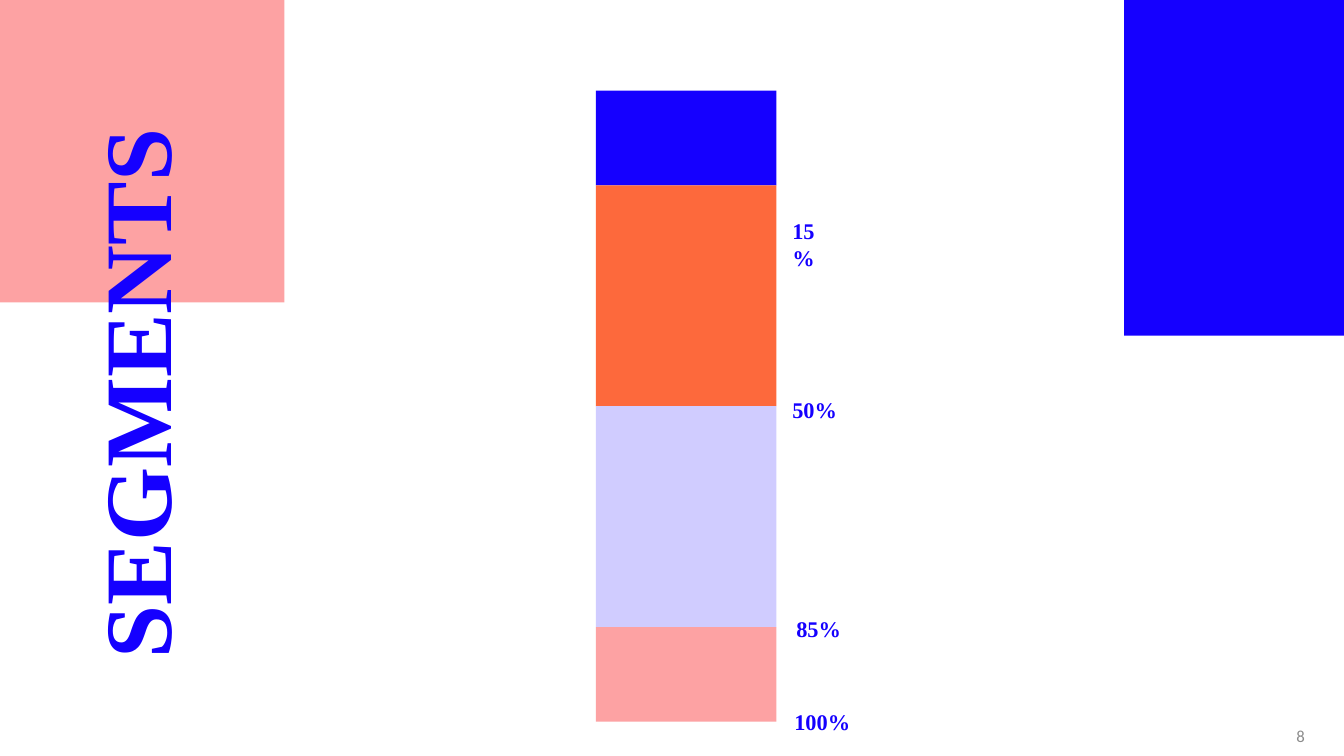
from dataclasses import dataclass

from pptx import Presentation
from pptx import util as u
from pptx.dml.color import RGBColor
from pptx.enum import shapes, text


@dataclass(frozen=True)
class Theme:
    blue: str = "1500FF"
    pink: str = "FDA2A3"
    orange: str = "FD693C"
    lavender: str = "D0CCFF"
    grey: str = "8C8C8C"
    serif: str = "Times New Roman"
    sans: str = "Calibri"
    title_size: int = 68
    label_size: int = 16
    number_size: int = 12


THEME = Theme()

BAR_LEFT, BAR_TOP, BAR_WIDTH, BAR_HEIGHT = 5.91, 0.9, 1.79, 6.26
SEGMENTS = [(15, THEME.blue), (35, THEME.orange),
            (35, THEME.lavender), (15, THEME.pink)]
LABELS = [("15%", 7.76, 2.11, 0.59), ("50%", 7.76, 3.88, 0.66),
          ("85%", 7.8, 6.05, 0.64), ("100%", 7.78, 6.98, 0.8)]


def inches(*values):
    return [u.Inches(value) for value in values]


def add_block(page, left, top, width, height, color):
    block = page.shapes.add_shape(shapes.MSO_SHAPE.RECTANGLE,
                                  *inches(left, top, width, height))
    block.shadow.inherit = False
    block.fill.solid()
    block.fill.fore_color.rgb = RGBColor.from_string(color)
    block.line.fill.background()


def write(box, words, size, name, color, bold=False,
          align=text.PP_ALIGN.LEFT, anchor=text.MSO_ANCHOR.TOP):
    """Put one formatted line of words into a text box or placeholder."""
    frame = box.text_frame
    frame_format = {"word_wrap": True, "auto_size": text.MSO_AUTO_SIZE.NONE,
                    "vertical_anchor": anchor}
    for key, value in frame_format.items():
        setattr(frame, key, value)
    para = frame.paragraphs[0]
    para.alignment = align
    span = para.add_run()
    span.text = words
    for key, value in {"size": u.Pt(size), "name": name, "bold": bold}.items():
        setattr(span.font, key, value)
    span.font.color.rgb = RGBColor.from_string(color)


def add_stacked_bar(page):
    """Stack the segments from the top, each as tall as its share."""
    top = BAR_TOP
    for share, color in SEGMENTS:
        height = BAR_HEIGHT * share / 100
        add_block(page, BAR_LEFT, top, BAR_WIDTH, height, color)
        top += height


def add_labels(page):
    for words, left, top, width in LABELS:
        box = page.shapes.add_textbox(*inches(left, top, width, 0.37))
        write(box, words, THEME.label_size, THEME.serif, THEME.blue, bold=True)


def place_title(page, words):
    """Turn the title upright and bring it in front of the blocks."""
    title = page.shapes.title
    title.left, title.top, title.width, title.height = inches(
        -2.99, 3.28, 8.65, 1.25)
    title.rotation = 270
    write(title, words, THEME.title_size, THEME.serif, THEME.blue, bold=True,
          align=text.PP_ALIGN.CENTER)
    title.element.getparent().append(title.element)


def add_page_number(page, number):
    box = page.shapes.add_textbox(*inches(10.04, 7.1, 3, 0.4))
    write(box, number, THEME.number_size, THEME.sans, THEME.grey,
          align=text.PP_ALIGN.RIGHT, anchor=text.MSO_ANCHOR.MIDDLE)


def main():
    deck = Presentation()
    deck.slide_width, deck.slide_height = inches(13.33, 7.5)
    page = deck.slides.add_slide(deck.slide_layouts.get_by_name("Title Only"))
    add_block(page, 11.15, 0, 2.18, 3.33, THEME.blue)
    add_block(page, 0, 0, 2.82, 3, THEME.pink)
    add_stacked_bar(page)
    add_labels(page)
    place_title(page, "SEGMENTS")
    add_page_number(page, "8")
    deck.save("out.pptx")


if __name__ == "__main__":
    main()
